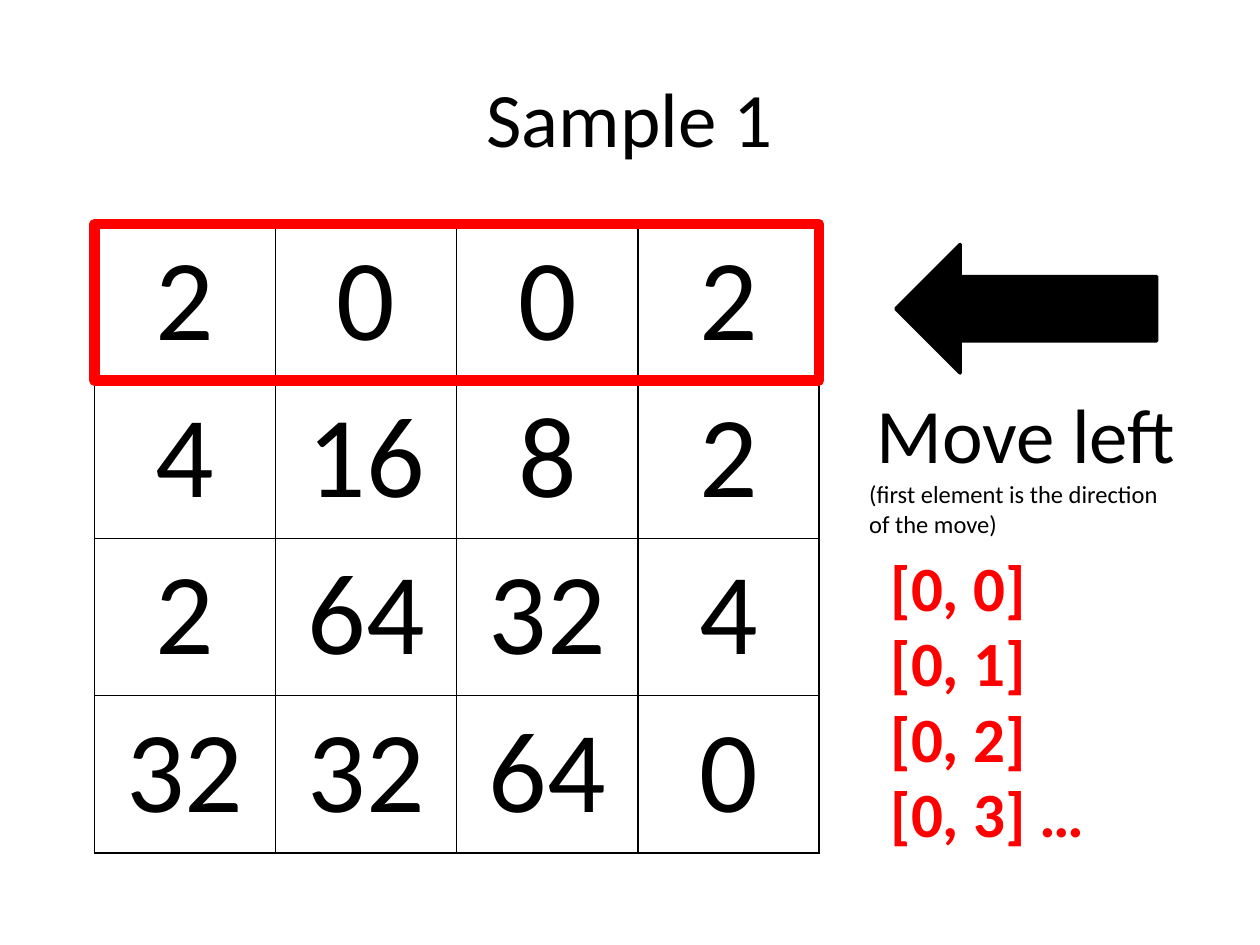
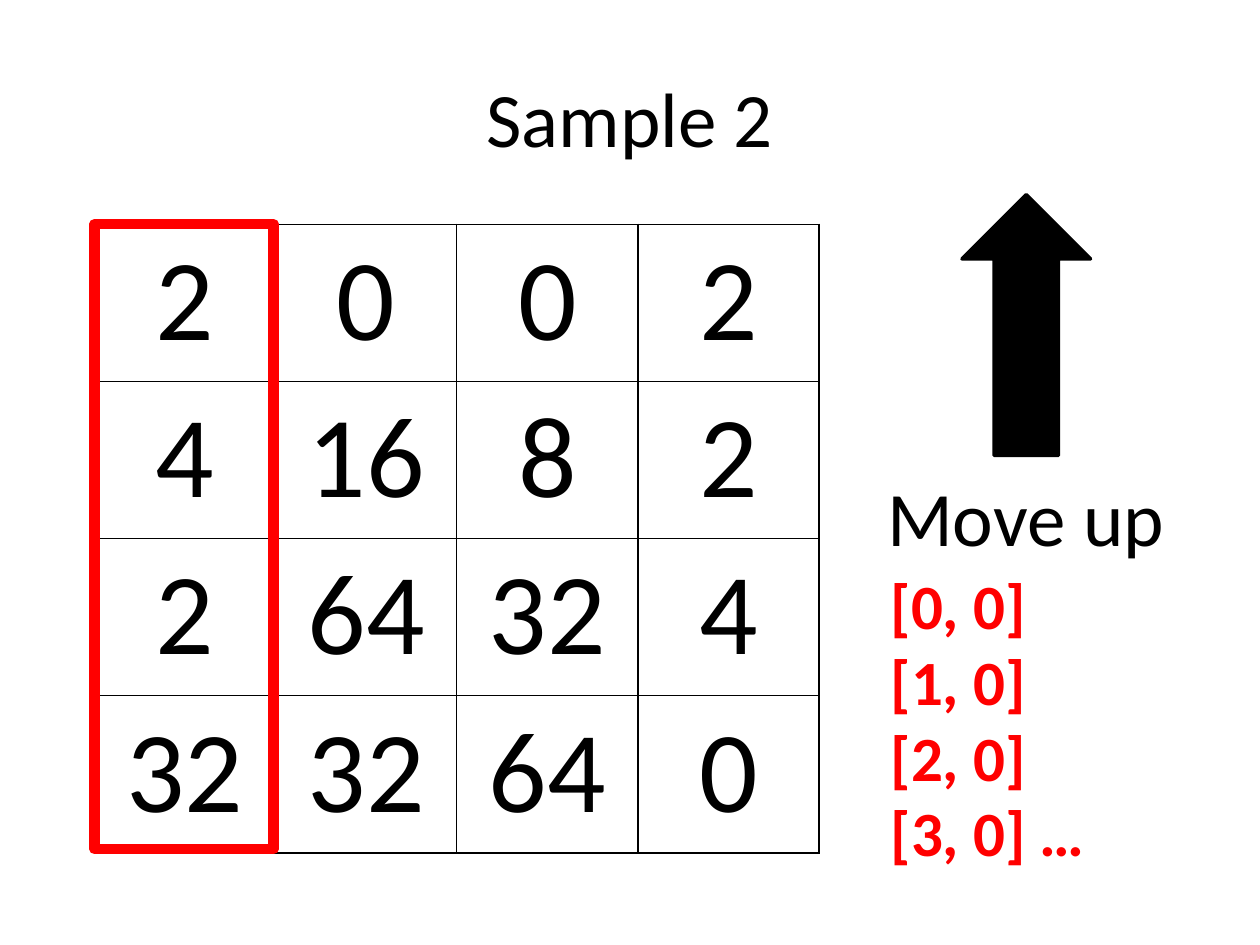
"""Two sample moves on a four by four number board, each with its index order."""
from dataclasses import dataclass

from lxml.etree import SubElement
from pptx import Presentation
from pptx.dml.color import RGBColor
from pptx.enum.shapes import MSO_SHAPE as Shape
from pptx.enum.text import MSO_ANCHOR as Anchor, MSO_AUTO_SIZE as AutoSize, PP_ALIGN as Align
from pptx.oxml.ns import qn
from pptx.util import Inches, Pt


@dataclass(frozen=True)
class Theme:
    font: str = "Calibri"
    ink: RGBColor = RGBColor(0, 0, 0)
    accent: RGBColor = RGBColor(255, 0, 0)
    heading: int = 44
    number: int = 66
    index: int = 36
    note: int = 14
    grid_line: int = 1
    arrow_line: int = 2
    frame_line: int = 6


theme = Theme()


def set_text(para, text, size, color=theme.ink, align=Align.LEFT, bold=False):
    para.text = text
    para.alignment = align
    font = para.font
    font.name, font.size, font.bold = theme.font, Pt(size), bold
    font.color.rgb = color


def add_paragraphs(page, left, top, width, height, paragraphs):
    box = page.shapes.add_textbox(Inches(left), Inches(top), Inches(width), Inches(height))
    frame = box.text_frame
    frame.word_wrap = True
    frame.auto_size = AutoSize.SHAPE_TO_FIT_TEXT
    for position, style in enumerate(paragraphs):
        para = frame.add_paragraph() if position else frame.paragraphs[0]
        set_text(para, **style)


board = [[2, 0, 0, 2], [4, 16, 8, 2], [2, 64, 32, 4], [32, 32, 64, 0]]
board_left, board_top, board_width, board_height = 0.75, 1.78, 5.75, 4.99
samples = [
    dict(title="Sample 1", move="Move left", note="(first element is the direction of the move)",
         order="[0, {}]", rotation=180, arrow_top=1.94, move_top=3.02, move_height=1.31,
         order_top=4.3, frame_size=(board_width, 1.24)),
    dict(title="Sample 2", move="Move up", note=None,
         order="[{}, 0]", rotation=270, arrow_top=2.07, move_top=3.68, move_height=0.84,
         order_top=4.45, frame_size=(1.42, 4.96)),
]

deck = Presentation()
deck.slide_width, deck.slide_height = Inches(10), Inches(7.5)

for sample in samples:
    page = deck.slides.add_slide(deck.slide_layouts[5])
    title = page.shapes.title
    title.left, title.top, title.width, title.height = map(Inches, (0.5, 0.3, 9, 1.25))
    title.text_frame.vertical_anchor = Anchor.MIDDLE
    set_text(title.text_frame.paragraphs[0], sample["title"], theme.heading, align=Align.CENTER)

    table = page.shapes.add_table(
        len(board), len(board[0]), Inches(board_left), Inches(board_top),
        Inches(board_width), Inches(board_height)).table
    table.first_row = table.horz_banding = False
    for row, numbers in enumerate(board):
        for column, number in enumerate(numbers):
            cell = table.cell(row, column)
            set_text(cell.text_frame.paragraphs[0], str(number), theme.number, align=Align.CENTER)
            properties = cell._tc.get_or_add_tcPr()
            for side in ("a:lnL", "a:lnR", "a:lnT", "a:lnB"):
                border = SubElement(properties, qn(side), w=str(Pt(theme.grid_line)))
                fill = SubElement(border, qn("a:solidFill"))
                SubElement(fill, qn("a:srgbClr"), val=str(theme.ink))
            cell.fill.background()

    caption = [dict(text=sample["move"], size=theme.heading, align=Align.CENTER)]
    if sample["note"]:
        caption.append(dict(text=sample["note"], size=theme.note))
    add_paragraphs(page, 6.8, sample["move_top"], 2.68, sample["move_height"], caption)

    arrow = page.shapes.add_shape(
        Shape.RIGHT_ARROW, Inches(7.11), Inches(sample["arrow_top"]), Inches(2.07), Inches(1.02))
    arrow.rotation = sample["rotation"]
    arrow.shadow.inherit = False
    arrow.fill.solid()
    arrow.fill.fore_color.rgb = arrow.line.color.rgb = theme.ink
    arrow.line.width = Pt(theme.arrow_line)

    indexes = [sample["order"].format(step) for step in range(len(board))]
    indexes[-1] += " …"
    add_paragraphs(page, 6.97, sample["order_top"], 2.51, 2.52, [
        dict(text=index, size=theme.index, color=theme.accent, bold=True) for index in indexes])

    highlight = page.shapes.add_shape(
        Shape.RECTANGLE, Inches(board_left), Inches(board_top), *map(Inches, sample["frame_size"]))
    highlight.shadow.inherit = False
    highlight.fill.background()
    highlight.line.color.rgb = theme.accent
    highlight.line.width = Pt(theme.frame_line)

deck.save("out.pptx")
